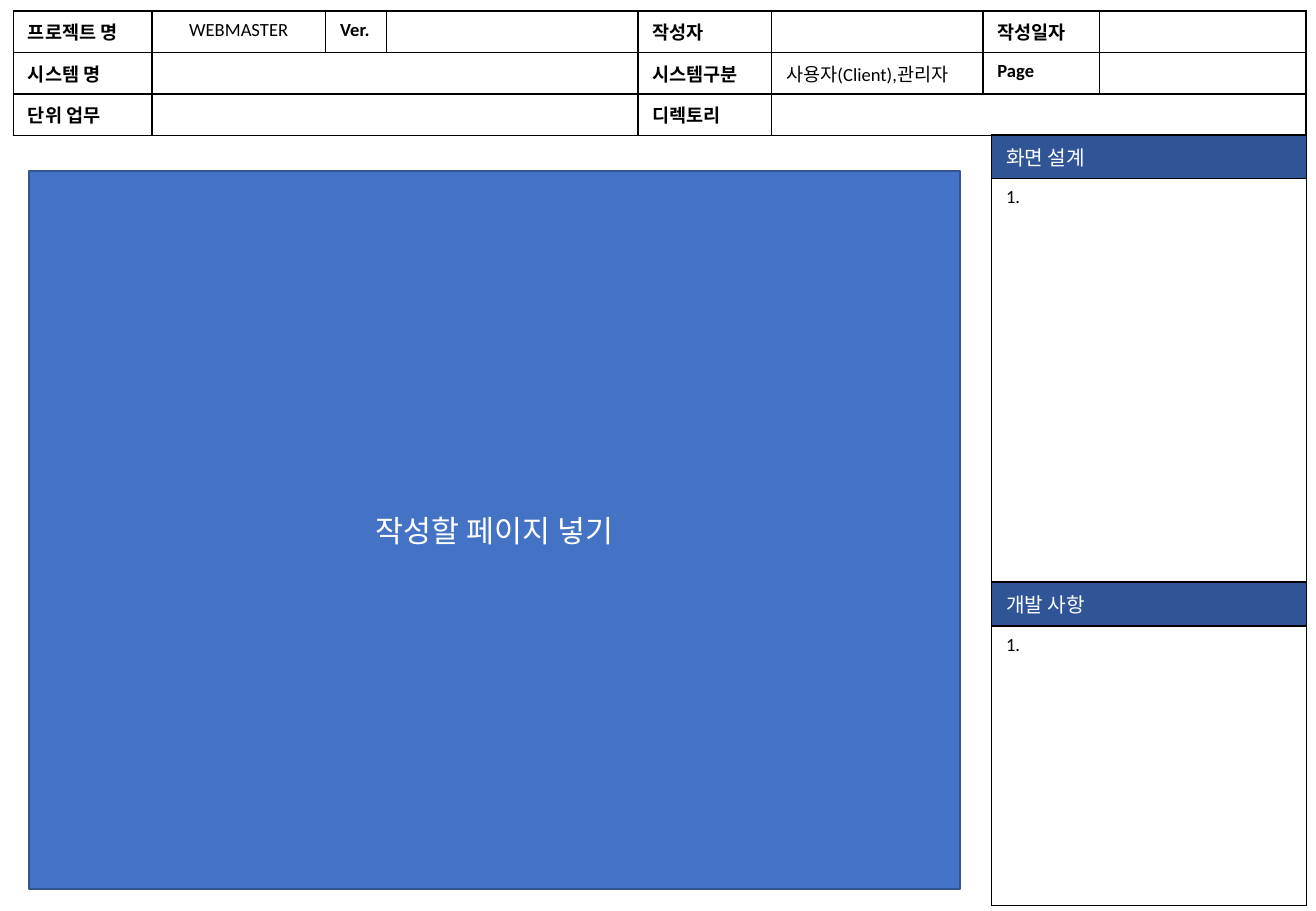
"""Build a screen design sheet with a header table, a page area and side notes."""
import pptx
import pptx.dml.color
import pptx.enum.shapes
import pptx.enum.text
import pptx.oxml.ns
import pptx.util
import lxml.etree

Inches = pptx.util.Inches
Pt = pptx.util.Pt
ALIGN = pptx.enum.text.PP_ALIGN
qn = pptx.oxml.ns.qn

COLORS = {"ink": "000000", "paper": "FFFFFF", "bar": "2F5597",
          "page": "4472C4", "edge": "325491"}
LATIN, HANGUL = "Calibri", "Noto Sans CJK KR"

HEAD = [
    ["프로젝트 명", "WEBMASTER", "Ver.", "", "작성자", "", "작성일자", ""],
    ["시스템 명", "", "", "", "시스템구분", "사용자(Client),관리자", "Page", ""],
    ["단위 업무", "", "", "", "디렉토리", "", "", ""],
]
HEAD_COLS = [1.14, 1.43, 0.5, 2.07, 1.1, 1.74, 0.96, 1.7]
HEAD_ROWS = [0.34] * len(HEAD)
SPANS = [(1, 1, 3), (2, 1, 3), (2, 5, 7)]
LABELS = {0, 2, 4, 6}
NOTES = [["화면 설계"], ["1."], ["개발 사항"], ["1."]]
NOTE_COLS = [2.59]
NOTE_ROWS = [0.34, 3.32, 0.34, 2.3]
PAGE = "작성할 페이지 넣기"


def rgb(name):
    """Give the named colour."""
    return pptx.dml.color.RGBColor.from_string(COLORS[name])


def write(frame, text, size=11, color="ink", bold=False, align=ALIGN.LEFT, font=LATIN):
    """Put formatted text in a frame."""
    para = frame.paragraphs[0]
    para.alignment = align
    if not text:
        end = lxml.etree.SubElement(para._p, qn("a:endParaRPr"))
        end.set("sz", str(size * 100))
        return
    run = para.add_run()
    run.text = text
    run.font.size, run.font.bold, run.font.name = Pt(size), bold, font
    run.font.color.rgb = rgb(color)
    east = lxml.etree.SubElement(run.font._element, qn("a:ea"))
    east.set("typeface", HANGUL)


def border(cell):
    """Draw a thin line on each side of a cell."""
    props = cell._tc.get_or_add_tcPr()
    for side in ("lnL", "lnR", "lnT", "lnB"):
        line = lxml.etree.SubElement(props, qn("a:" + side), w=str(Pt(1)))
        fill = lxml.etree.SubElement(line, qn("a:solidFill"))
        lxml.etree.SubElement(fill, qn("a:srgbClr"), val=COLORS["ink"])


def grid(slide, left, top, cols, rows, data, style):
    """Add a table; style maps a row and column to a fill and text format."""
    frame = slide.shapes.add_table(len(rows), len(cols), Inches(left), Inches(top),
                                   Inches(sum(cols)), Inches(sum(rows)))
    table = frame.table
    table.first_row = table.horz_banding = False
    for col, width in zip(table.columns, cols):
        col.width = Inches(width)
    for row, height in zip(table.rows, rows):
        row.height = Inches(height)
    for r, line in enumerate(data):
        for c, text in enumerate(line):
            cell = table.cell(r, c)
            cell.margin_left = cell.margin_right = Inches(0.12)
            cell.margin_top = cell.margin_bottom = Inches(0.06)
            border(cell)
            fill, form = style(r, c)
            if fill:
                cell.fill.solid()
                cell.fill.fore_color.rgb = rgb(fill)
            else:
                cell.fill.background()
            write(cell.text_frame, text, **form)
    return table


def note_style(row, col):
    """Style bars on even rows and plain notes between them."""
    if row % 2 == 0:
        return "bar", {"size": 12, "color": "paper", "font": HANGUL}
    return None, {}


def head_style(row, col):
    """Style labels in bold and centre the project name."""
    align = ALIGN.CENTER if (row, col) == (0, 1) else ALIGN.LEFT
    return None, {"bold": col in LABELS, "align": align}


def main():
    """Make the slide and save it."""
    deck = pptx.Presentation()
    deck.slide_width, deck.slide_height = Inches(10.83), Inches(7.5)
    slide = deck.slides.add_slide(deck.slide_layouts[6])

    grid(slide, 8.16, 1.11, NOTE_COLS, NOTE_ROWS, NOTES, note_style)
    head = grid(slide, 0.11, 0.09, HEAD_COLS, HEAD_ROWS, HEAD, head_style)
    for row, first, last in SPANS:
        head.cell(row, first).merge(head.cell(row, last))

    page = slide.shapes.add_shape(pptx.enum.shapes.MSO_SHAPE.RECTANGLE, Inches(0.24),
                                  Inches(1.41), Inches(7.66), Inches(5.91))
    page.shadow.inherit = False
    page.fill.solid()
    page.fill.fore_color.rgb = rgb("page")
    page.line.color.rgb = rgb("edge")
    page.line.width = Pt(1)
    page.text_frame.vertical_anchor = pptx.enum.text.MSO_ANCHOR.MIDDLE
    write(page.text_frame, PAGE, size=18, color="paper", align=ALIGN.CENTER)
    deck.save("out.pptx")


if __name__ == "__main__":
    main()
